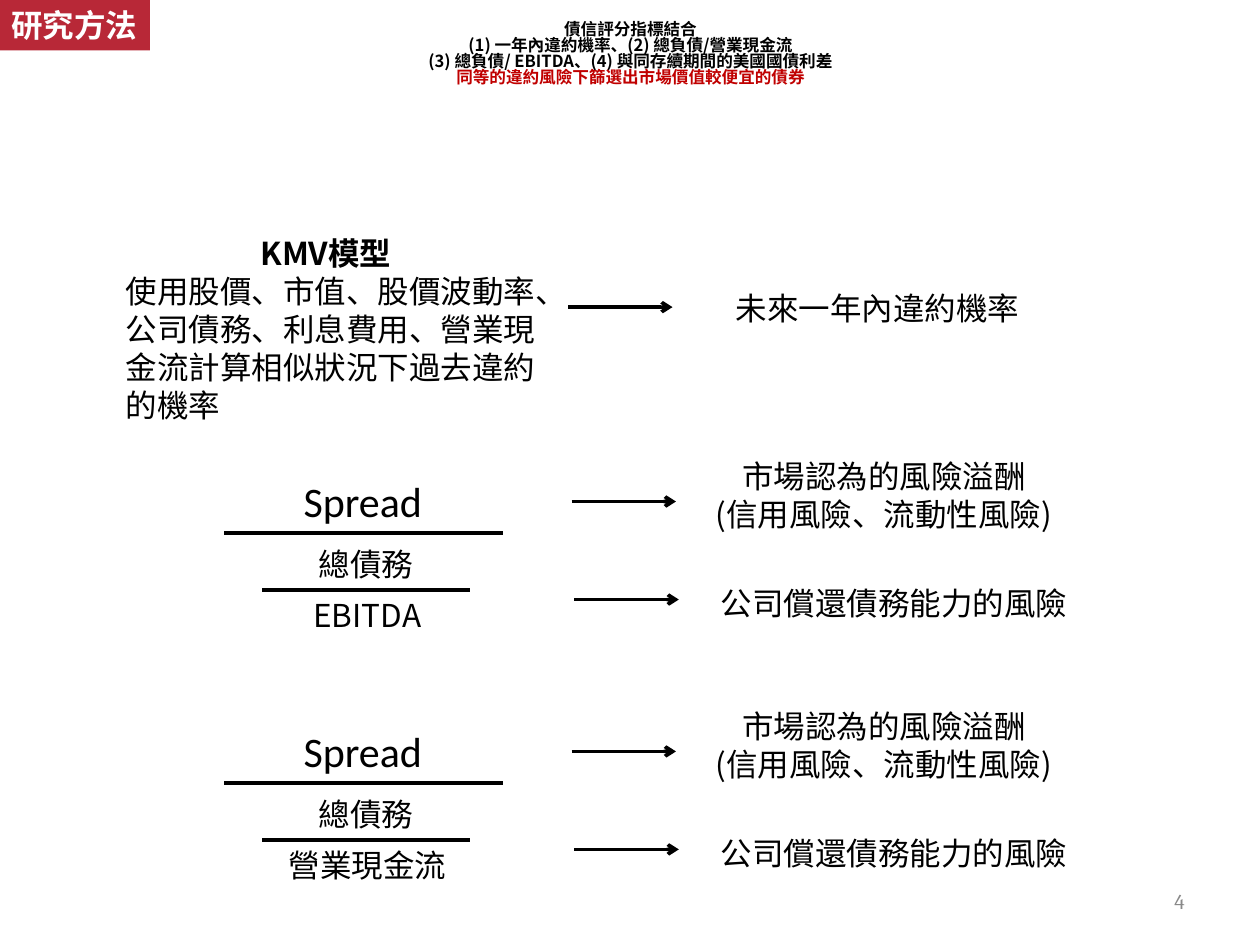
"""Builds the research-method slide: credit indicators and the risks they measure."""
import pptx
import pptx.util
import pptx.dml.color
import pptx.enum.shapes
import pptx.enum.text
import pptx.oxml.ns
import lxml.etree

Pt = pptx.util.Pt
ALIGN = pptx.enum.text.PP_ALIGN
COLORS = {"black": "000000", "red": "C00000", "label": "B82837", "white": "FFFFFF", "grey": "898989"}
CJK = "Noto Sans CJK SC"


def write(box, lines, size=18, font=CJK, color="black", bold=False, align=ALIGN.CENTER, spacing=None):
    frame = box.text_frame
    frame.word_wrap = True
    paragraph = frame.paragraphs[0]
    paragraph.alignment = align
    if spacing:
        paragraph.line_spacing = Pt(spacing)
    for number, line in enumerate(lines):
        if number:
            paragraph.add_line_break()
        text, line_color, line_bold = line if isinstance(line, tuple) else (line, color, bold)
        run = paragraph.add_run()
        run.text = text
        run.font.size = Pt(size)
        run.font.name = font
        run.font.bold = line_bold
        run.font.color.rgb = pptx.dml.color.RGBColor.from_string(COLORS[line_color])
        east_asian = lxml.etree.SubElement(run.font._element, pptx.oxml.ns.qn("a:ea"))
        east_asian.set("typeface", font)
    return paragraph


def draw_line(shapes, left, right, y, arrow=False):
    line = shapes.add_connector(pptx.enum.shapes.MSO_CONNECTOR.STRAIGHT, Pt(left), Pt(y), Pt(right), Pt(y))
    line.line.width = Pt(2)
    line.line.color.rgb = pptx.dml.color.RGBColor.from_string(COLORS["black"])
    if arrow:
        tail = lxml.etree.SubElement(line.line._get_or_add_ln(), pptx.oxml.ns.qn("a:tailEnd"))
        tail.set("type", "arrow")
    lxml.etree.SubElement(line._element.spPr, pptx.oxml.ns.qn("a:effectLst"))


deck = pptx.Presentation()
deck.slide_width, deck.slide_height = Pt(720), Pt(540)
slide = deck.slides.add_slide(deck.slide_layouts[6])
shapes = slide.shapes

page_number = shapes.add_textbox(Pt(516), Pt(500.5), Pt(168), Pt(28.8))
page_number.text_frame.vertical_anchor = pptx.enum.text.MSO_ANCHOR.MIDDLE
write(page_number, ["4"], size=12, font="Cambria", color="grey", align=ALIGN.RIGHT)

heading = shapes.add_textbox(Pt(15.8), Pt(9.4), Pt(689), Pt(73.4))
write(heading, [
    "債信評分指標結合",
    "(1) 一年內違約機率、(2) 總負債/營業現金流",
    "(3) 總負債/ EBITDA、(4) 與同存續期間的美國國債利差",
    ("同等的違約風險下篩選出市場價值較便宜的債券", "red", True),
], size=9.5, bold=True, spacing=9.14)

section = shapes.add_shape(pptx.enum.shapes.MSO_SHAPE.RECTANGLE, Pt(-0.7), Pt(0), Pt(86.4), Pt(28.8))
section.shadow.inherit = False
section.fill.solid()
section.fill.fore_color.rgb = pptx.dml.color.RGBColor.from_string(COLORS["label"])
section.line.fill.background()
section.text_frame.vertical_anchor = pptx.enum.text.MSO_ANCHOR.TOP
write(section, ["研究方法"], color="white", bold=True, align=ALIGN.LEFT, spacing=21.7)
section.text_frame.word_wrap = False

for denominator, top in (("營業現金流", 400.4), ("EBITDA", 257.6)):
    ratio = slide.shapes.add_group_shape().shapes
    for lines, left, offset, width, height, size, font in (
        (["總債務"], 138.2, 50.4, 141.8, 28.8, 18, CJK),
        ([denominator], 99.4, 79.4, 221, 28.8, 18, CJK),
        (["Spread"], 151.2, 10.8, 112.3, 36, 24, "Calibri"),
        (["市場認為的風險溢酬", "(信用風險、流動性風險)"], 357.8, 0, 294.5, 50.4, 18, CJK),
        (["公司償還債務能力的風險"], 363.6, 72.7, 294.5, 28.8, 18, CJK),
    ):
        term = ratio.add_textbox(Pt(left), Pt(top + offset), Pt(width), Pt(height))
        write(term, lines, size=size, font=font, spacing=21.7 if size == 18 else None)
    for left, right, offset, arrow in (
        (149.8, 268.6, 79.6, False),
        (128.2, 287.3, 47, False),
        (326.7, 386.3, 29, True),
        (328.3, 387.9, 85, True),
    ):
        draw_line(ratio, left, right, top + offset, arrow)

default_risk = shapes.add_textbox(Pt(354.2), Pt(161.3), Pt(294.5), Pt(28.8))
write(default_risk, ["未來一年內違約機率"], spacing=21.7)

kmv_model = shapes.add_textbox(Pt(64.8), Pt(130.3), Pt(263.5), Pt(115.2))
kmv_text = write(kmv_model, [
    ("KMV模型", "black", True),
    "使用股價、市值、股價波動率、公司債務、利息費用、營業現金流計算相似狀況下過去違約的機率",
], align=ALIGN.LEFT, spacing=21.7)
kmv_text._p.get_or_add_pPr().set("indent", str(Pt(77)))

draw_line(shapes, 324.7, 384.3, 175.5, arrow=True)

deck.save("out.pptx")
